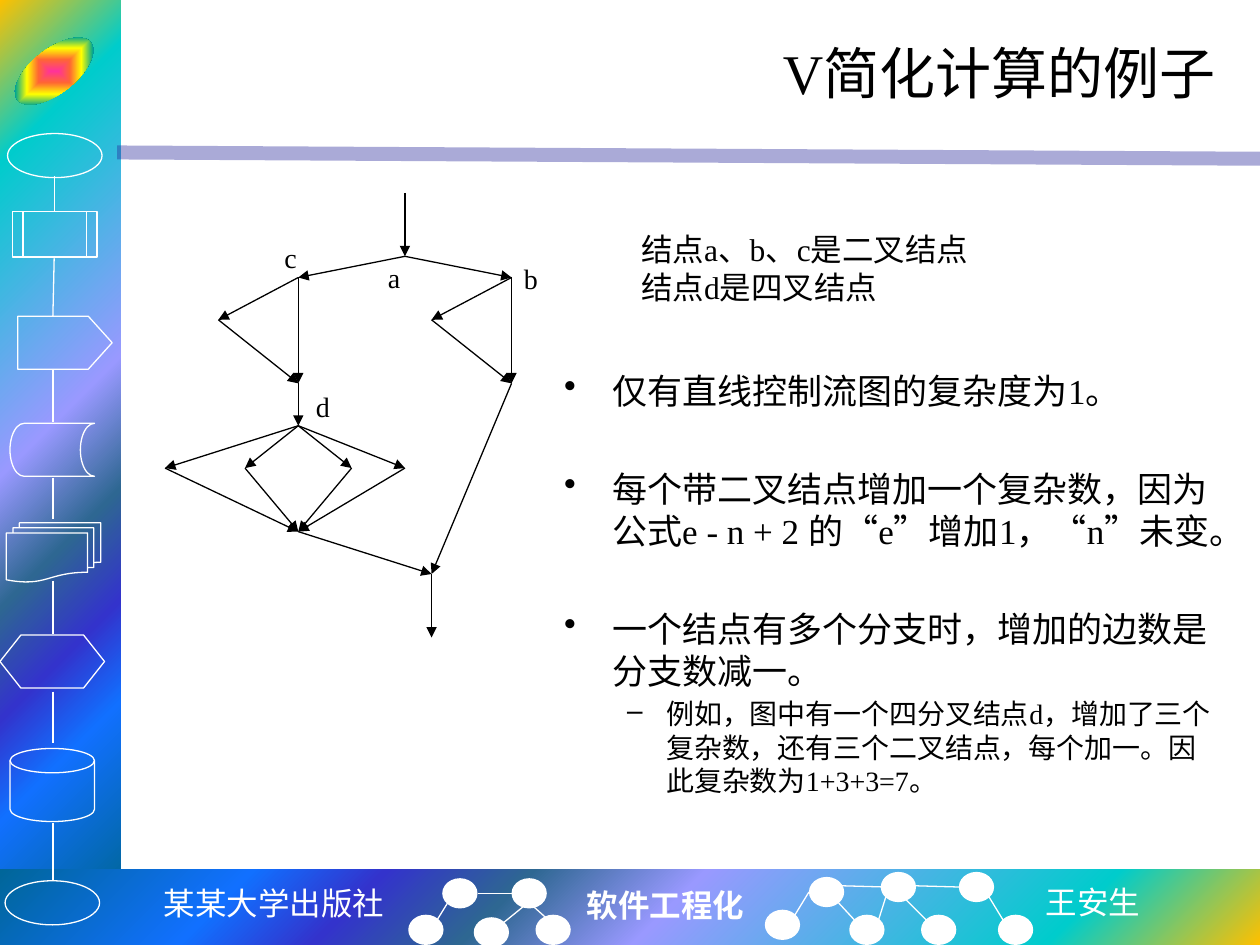
from dataclasses import dataclass
from lxml import etree
from pptx import Presentation
from pptx.dml.color import RGBColor
from pptx.enum.shapes import MSO_CONNECTOR as Link, MSO_SHAPE as Kind
from pptx.enum.text import MSO_ANCHOR as Anchor, PP_ALIGN as Align
from pptx.oxml.ns import qn
from pptx.util import Inches, Pt


@dataclass(frozen=True)
class Theme:
    """Colours, fonts and type sizes of the slide."""
    ink: str = "000000"
    white: str = "FFFFFF"
    band: str = "262699"
    latin: str = "Times New Roman"
    mono: str = "Noto Sans Mono"
    asian: str = "Noto Sans CJK SC"
    title: int = 32
    body: int = 20
    note: int = 18
    small: int = 16
    hairline: float = 0.75
    spectrum: tuple = ((0, "FFC000"), (16, "00CCCC"), (47, "9999FF"), (60, "2E6792"),
                       (71, "3333CC"), (81, "1170FF"), (100, "006699"))
    rainbow: tuple = ((0, "FF3399"), (25, "FF6633"), (50, "FFFF00"),
                      (75, "01A78F"), (100, "3366FF"))


THEME = Theme()

TITLE = "V简化计算的例子"
NOTES = ["结点a、b、c是二叉结点", "结点d是四叉结点"]
# text, level, space before in points
POINTS = [
    ("仅有直线控制流图的复杂度为1。", 0, 0),
    ("每个带二叉结点增加一个复杂数，因为公式e - n + 2 的“e”增加1，“n”未变。", 0, 32),
    ("一个结点有多个分支时，增加的边数是分支数减一。", 0, 32),
    ("例如，图中有一个四分叉结点d，增加了三个复杂数，还有三个二叉结点，每个加一。"
     "因此复杂数为1+3+3=7。", 1, 3.2),
]
# bullet, left margin, hanging indent, size
LEVELS = [("•", 0.38, -0.38, THEME.body), ("–", 0.81, -0.31, THEME.small)]

FOOTER = [
    ("某某大学出版社", (1.19, 6.97, 1.97, 0.4), dict(font=THEME.mono, align=Align.CENTER)),
    ("软件工程化", (4.56, 6.98, 1.46, 0.4), dict(bold=True)),
    ("王安生", (8.2, 6.96, 0.96, 0.4), dict(font=THEME.asian)),
]

SIDEBAR = [
    (Kind.OVAL, (0.06, 1.06, 0.75, 0.35)),
    (Kind.FLOWCHART_PREDEFINED_PROCESS, (0.1, 1.68, 0.67, 0.36)),
    (Kind.PENTAGON, (0.14, 2.51, 0.75, 0.42)),
    (Kind.FLOWCHART_STORED_DATA, (0.08, 3.36, 0.67, 0.42)),
    (Kind.FLOWCHART_MULTIDOCUMENT, (0.05, 4.15, 0.75, 0.47)),
    (Kind.FLOWCHART_PREPARATION, (0, 5.04, 0.83, 0.42)),
    (Kind.FLOWCHART_MAGNETIC_DISK, (0.08, 5.94, 0.67, 0.58)),
    (Kind.OVAL, (0.04, 6.99, 0.75, 0.35)),
]
SIDEBAR[3] = (Kind.FLOWCHART_STORED_DATA, SIDEBAR[3][1])
SIDEBAR_LINKS = [
    (0.43, 1.4, 0.43, 1.68), (0.43, 2.05, 0.42, 2.51), (0.42, 2.93, 0.42, 3.35),
    (0.42, 3.79, 0.42, 4.12), (0.42, 4.61, 0.42, 5.03), (0.42, 5.49, 0.42, 5.9),
    (0.42, 6.53, 0.42, 6.99),
]
BALLS = [(3.51, 6.97), (4.06, 6.97), (3.24, 7.26), (3.76, 7.28), (4.25, 7.26),
         (6.42, 6.96), (6.99, 6.92), (7.61, 6.92), (6.07, 7.22), (6.74, 7.26),
         (7.31, 7.26), (7.92, 7.26)]
BALL_LINKS = [
    (3.47, 7.3, 3.55, 7.17), (4, 7.32, 4.16, 7.19), (4.06, 7.09, 3.79, 7.09),
    (4.34, 7.29, 4.24, 7.2), (6.31, 7.26, 6.42, 7.08), (6.68, 7.03, 7.03, 7.04),
    (6.78, 7.3, 6.65, 7.16), (6.97, 7.31, 7.03, 7.12), (7.35, 7.3, 7.15, 7.1),
    (7.26, 7.03, 7.61, 7.04), (7.96, 7.3, 7.85, 7.12),
]

# Control flow graph: nodes as (column, row) on a 13 by 21 grid
GRAPH_AT = (1.31, 1.53, 2.75, 3.53)
GRID = (13, 21)
NODES = dict(start=(9, 0), a=(9, 3), c=(5, 4), c_left=(2, 6), c_end=(5, 9),
             b=(13, 4), b_left=(10, 6), b_end=(13, 9), d=(5, 11), d1=(0, 13),
             d2=(3, 13), d3=(7, 13), d4=(9, 13), d_end=(5, 16), join=(10, 18),
             finish=(10, 21))
EDGES = dict(start="a", a="c b", c="c_end c_left", c_left="c_end", c_end="d",
             d="d1 d2 d3 d4", d1="d_end", d2="d_end", d3="d_end", d4="d_end",
             d_end="join", b="b_end b_left", b_left="b_end", b_end="join",
             join="finish")
NODE_LABELS = dict(a=(2.98, 2.02), b=(4.06, 2.03), c=(2.16, 1.86), d=(2.41, 3.04))


def inches(values):
    """Turn numbers into lengths."""
    return [Inches(value) for value in values]


def add_text(frame, text, size, color=THEME.ink, font=THEME.latin, bold=False,
             align=Align.LEFT, before=0, margin=0, indent=0, bullet=None):
    """Write one formatted paragraph into a text frame."""
    para = frame.paragraphs[0]
    if para.runs:
        para = frame.add_paragraph()
    para.alignment, para.space_before = align, Pt(before)
    props = para._p.get_or_add_pPr()
    props.set("marL", str(Inches(margin)))
    props.set("indent", str(Inches(indent)))
    if bullet:
        etree.SubElement(props, qn("a:buChar"), char=bullet)
    span = para.add_run()
    span.text = text
    span.font.name, span.font.size, span.font.bold = font, Pt(size), bold
    span.font.color.rgb = RGBColor.from_string(color)
    latin = span._r.rPr.find(qn("a:latin"))
    latin.addnext(latin.makeelement(qn("a:ea"), typeface=THEME.asian))


def add_box(page, at, wrap=True):
    """Add a text box and return its frame."""
    frame = page.shapes.add_textbox(*inches(at)).text_frame
    frame.word_wrap = wrap
    return frame


def add_figure(page, kind, at, fill=None, line=None):
    """Add a preset shape with an optional plain fill and outline."""
    shape = page.shapes.add_shape(kind, *inches(at))
    shape.shadow.inherit = False
    if fill:
        shape.fill.solid()
        shape.fill.fore_color.rgb = RGBColor.from_string(fill)
    else:
        shape.fill.background()
    if line:
        shape.line.color.rgb = RGBColor.from_string(line)
        shape.line.width = Pt(THEME.hairline)
    else:
        shape.line.fill.background()
    return shape


def paint_gradient(shape, stops, form, focus):
    """Give a shape a gradient spreading from focus (left, top, right, bottom)."""
    gradient = etree.Element(qn("a:gradFill"), rotWithShape="1")
    stop_list = etree.SubElement(gradient, qn("a:gsLst"))
    for place, color in stops:
        stop = etree.SubElement(stop_list, qn("a:gs"), pos=str(place * 1000))
        etree.SubElement(stop, qn("a:srgbClr"), val=color)
    spread = etree.SubElement(gradient, qn("a:path"), {"path": form})
    sides = {side: str(share * 1000) for side, share in zip("ltrb", focus)}
    etree.SubElement(spread, qn("a:fillToRect"), sides)
    props = shape._element.spPr
    props.replace(props.find(qn("a:noFill")), gradient)


def add_line(page, ends, color, width=THEME.hairline, arrow=False, opacity=None):
    """Add a straight line, with an arrowhead or transparency if asked."""
    link = page.shapes.add_connector(Link.STRAIGHT, *inches(ends))
    link.line.color.rgb = RGBColor.from_string(color)
    link.line.width = Pt(width)
    outline = link.line._get_or_add_ln()
    if arrow:
        etree.SubElement(outline, qn("a:tailEnd"), type="triangle")
    if opacity:
        etree.SubElement(outline.find(".//" + qn("a:srgbClr")), qn("a:alpha"),
                         val=str(opacity * 1000))
    etree.SubElement(link._element.spPr, qn("a:effectLst"))


def draw_frame(page):
    """Draw the sidebar, the footer and the band under the title."""
    for at, focus in [((0, 0, 0.96, 7.09), (0, 0, 100, 100)),
                      ((0, 6.9, 10, 0.6), (100, 100, 0, 0))]:
        panel = add_figure(page, Kind.RECTANGLE, at)
        paint_gradient(panel, THEME.spectrum, "circle", focus)
    add_line(page, (0.93, 1.21, 10, 1.26), THEME.band, width=8, opacity=39)
    badge = add_figure(page, Kind.OVAL, (0.06, 0.39, 0.74, 0.35))
    badge.rotation = -38
    paint_gradient(badge, THEME.rainbow, "shape", (50, 50, 50, 50))
    for kind, at in SIDEBAR:
        figure = add_figure(page, kind, at, line=THEME.white)
        if kind == Kind.PENTAGON:
            figure.adjustments[0] = 0.45
    for at in BALLS:
        add_figure(page, Kind.OVAL, (*at, 0.28, 0.24), fill=THEME.white)
    for ends in SIDEBAR_LINKS + BALL_LINKS:
        add_line(page, ends, THEME.white)
    for text, at, style in FOOTER:
        add_text(add_box(page, at, wrap=False), text, THEME.note, THEME.white, **style)


def draw_graph(page):
    """Draw the control flow graph and its node letters."""
    left, top, width, height = GRAPH_AT
    places = {name: (left + width * column / GRID[0], top + height * row / GRID[1])
              for name, (column, row) in NODES.items()}
    for source, targets in EDGES.items():
        for target in targets.split():
            add_line(page, places[source] + places[target], THEME.ink, arrow=True)
    for letter, at in NODE_LABELS.items():
        add_text(add_box(page, (*at, 0.63, 0.5)), letter, THEME.small)


def write_content(page):
    """Write the title, the notes on the nodes and the bulleted points."""
    title = page.shapes.title
    title.left, title.top, title.width, title.height = inches((1.25, 0.17, 8.5, 0.81))
    title.text_frame.vertical_anchor = Anchor.MIDDLE
    add_text(title.text_frame, TITLE, THEME.title, align=Align.RIGHT)
    notes = add_box(page, (4.69, 1.78, 4.57, 0.84))
    for note in NOTES:
        add_text(notes, note, THEME.note, indent=0.3)
    body = add_box(page, (4.38, 2.88, 5.37, 3.19))
    for text, level, before in POINTS:
        bullet, margin, indent, size = LEVELS[level]
        add_text(body, text, size, before=before, margin=margin, indent=indent,
                 bullet=bullet)


deck = Presentation()
deck.slide_width, deck.slide_height = inches((10, 7.5))
page = deck.slides.add_slide(deck.slide_layouts[5])
draw_frame(page)
write_content(page)
draw_graph(page)
deck.save("out.pptx")
